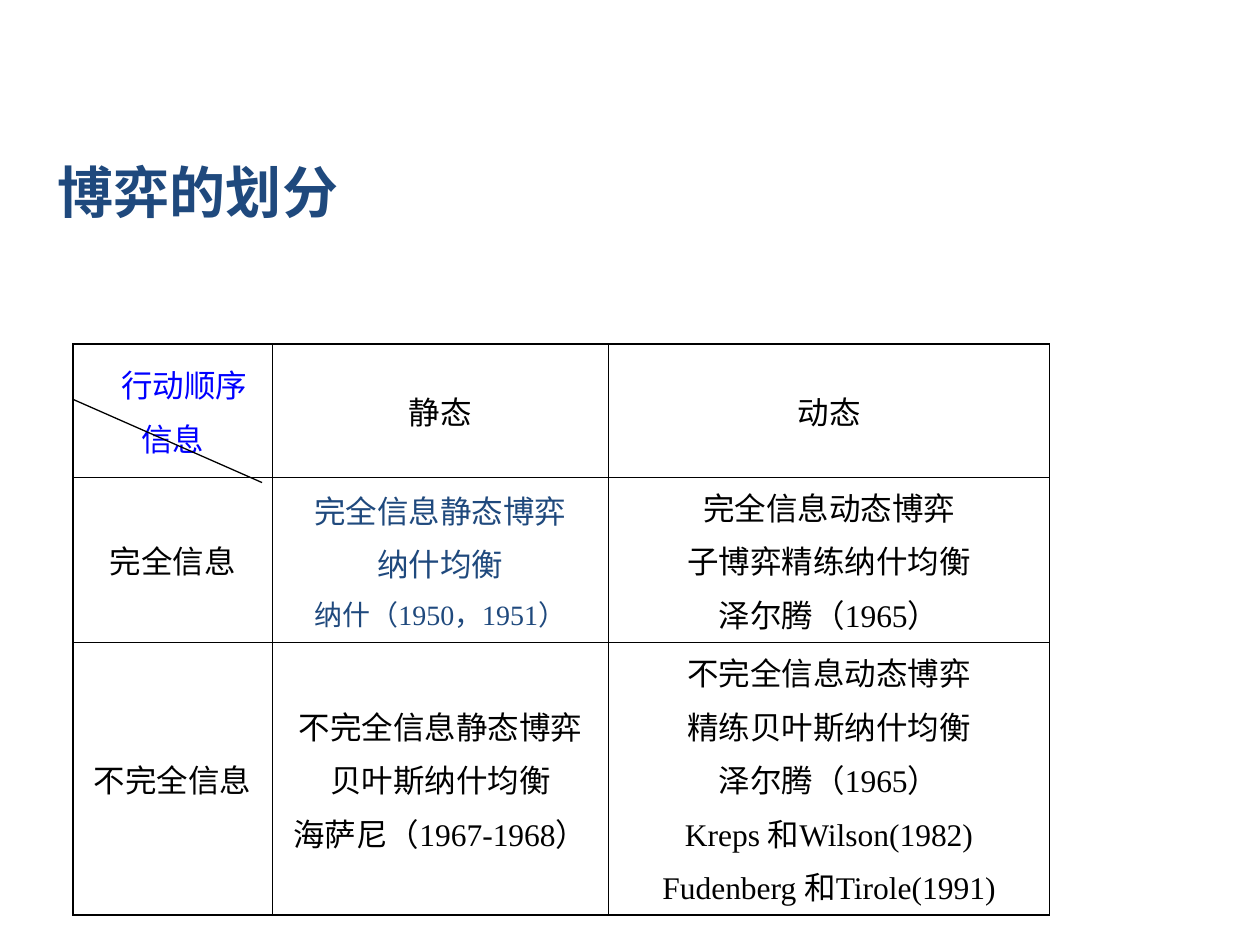
from dataclasses import dataclass

from lxml import etree
from pptx import Presentation
from pptx.dml.color import RGBColor
from pptx.enum.shapes import MSO_CONNECTOR
from pptx.enum.text import MSO_ANCHOR, PP_ALIGN
from pptx.oxml.ns import qn
from pptx.util import Inches, Pt

LINE = MSO_CONNECTOR.STRAIGHT
MIDDLE = MSO_ANCHOR.MIDDLE
LEFT, CENTER = PP_ALIGN.LEFT, PP_ALIGN.CENTER


@dataclass(frozen=True)
class Theme:
    """Colours, fonts and sizes of the slide."""
    black: str = "000000"
    navy: str = "1F497D"
    blue: str = "0000FF"
    latin: str = "Times New Roman"
    asian: str = "Noto Sans CJK SC"
    title: int = 32
    body: int = 18
    small: int = 16
    gap: float = 4.5
    outer: float = 1.08
    inner: float = 0.45
    rule: float = 0.75


THEME = Theme()
COLS = (1.58, 2.67, 3.5)
ROWS = (1.06, 1.31, 2.16)
GAMES = (
    (("行动顺序", "信息"), ("静态",), ("动态",)),
    (("完全信息",),
     ("完全信息静态博弈", "纳什均衡", "纳什（1950，1951）"),
     ("完全信息动态博弈", "子博弈精练纳什均衡", "泽尔腾（1965）")),
    (("不完全信息",),
     ("不完全信息静态博弈", "贝叶斯纳什均衡", "海萨尼（1967-1968）"),
     ("不完全信息动态博弈", "精练贝叶斯纳什均衡", "泽尔腾（1965）",
      "Kreps 和Wilson(1982)", "Fudenberg 和Tirole(1991)")),
)
TINTS = {(0, 0): THEME.blue, (1, 1): THEME.navy}


def style(para, size, color, face, bold=False):
    """Format every run of a paragraph."""
    for run in para.runs:
        font = run.font
        font.size, font.bold, font.name = Pt(size), bold, face
        font.color.rgb = RGBColor.from_string(color)
        asian = etree.SubElement(font._element, qn("a:ea"))
        asian.set("typeface", THEME.asian)


def add_title(slide, text):
    """Fill and place the title."""
    title = slide.shapes.title
    title.left, title.top = Inches(0.36), Inches(1.08)
    title.width, title.height = Inches(9), Inches(0.88)
    frame = title.text_frame
    frame.text = text
    frame.vertical_anchor = MIDDLE
    para = frame.paragraphs[0]
    para.alignment = LEFT
    style(para, THEME.title, THEME.navy, THEME.asian, True)


def add_edge(cell, side, width):
    """Draw one border of a cell."""
    edge = etree.SubElement(cell._tc.get_or_add_tcPr(), qn(f"a:ln{side}"))
    edge.set("w", str(Pt(width)))
    fill = etree.SubElement(edge, qn("a:solidFill"))
    etree.SubElement(fill, qn("a:srgbClr")).set("val", THEME.black)


def fill_cell(cell, lines, color):
    """Write centred lines into a cell."""
    cell.vertical_anchor = MIDDLE
    frame = cell.text_frame
    frame.text = "\n".join(lines)
    for i, para in enumerate(frame.paragraphs):
        para.alignment = CENTER
        para.space_before = Pt(THEME.gap if i else 0)
        style(para, THEME.body, color, THEME.latin)


def add_grid(slide):
    """Add the table of games."""
    frame = slide.shapes.add_table(
        len(ROWS), len(COLS), Inches(0.58), Inches(2.73),
        Inches(sum(COLS)), Inches(sum(ROWS)))
    table = frame.table
    table.first_row = table.horz_banding = False
    for col, width in zip(table.columns, COLS):
        col.width = Inches(width)
    for row, height in zip(table.rows, ROWS):
        row.height = Inches(height)
    for r, row in enumerate(GAMES):
        for c, lines in enumerate(row):
            cell = table.cell(r, c)
            fill_cell(cell, lines, TINTS.get((r, c), THEME.black))
            outer = {"L": c == 0, "R": c == len(COLS) - 1,
                     "T": r == 0, "B": r == len(ROWS) - 1}
            for side, edge in outer.items():
                add_edge(cell, side, THEME.outer if edge else THEME.inner)
            cell.fill.background()
    return table


def tune_grid(table):
    """Indent the corner label and shrink the cited years."""
    label = table.cell(0, 0).text_frame.paragraphs[0]
    label._p.get_or_add_pPr().set("marL", str(Pt(13.5)))
    years = table.cell(1, 1).text_frame.paragraphs[-1]
    years.space_before = Pt(4)
    for run in years.runs:
        run.font.size = Pt(THEME.small)


def add_line(slide, x1, y1, x2, y2):
    """Draw a thin straight line."""
    line = slide.shapes.add_connector(
        LINE, Inches(x1), Inches(y1), Inches(x2), Inches(y2))
    line.line.width = Pt(THEME.rule)
    line.line.color.rgb = RGBColor.from_string(THEME.black)
    etree.SubElement(line._element.spPr, qn("a:effectLst"))


def main():
    """Build and save the slide."""
    deck = Presentation()
    deck.slide_width, deck.slide_height = Inches(10), Inches(7.5)
    slide = deck.slides.add_slide(deck.slide_layouts[5])
    add_title(slide, "博弈的划分")
    tune_grid(add_grid(slide))
    add_line(slide, 0.58, 3.17, 2.08, 3.83)
    deck.save("out.pptx")


if __name__ == "__main__":
    main()
